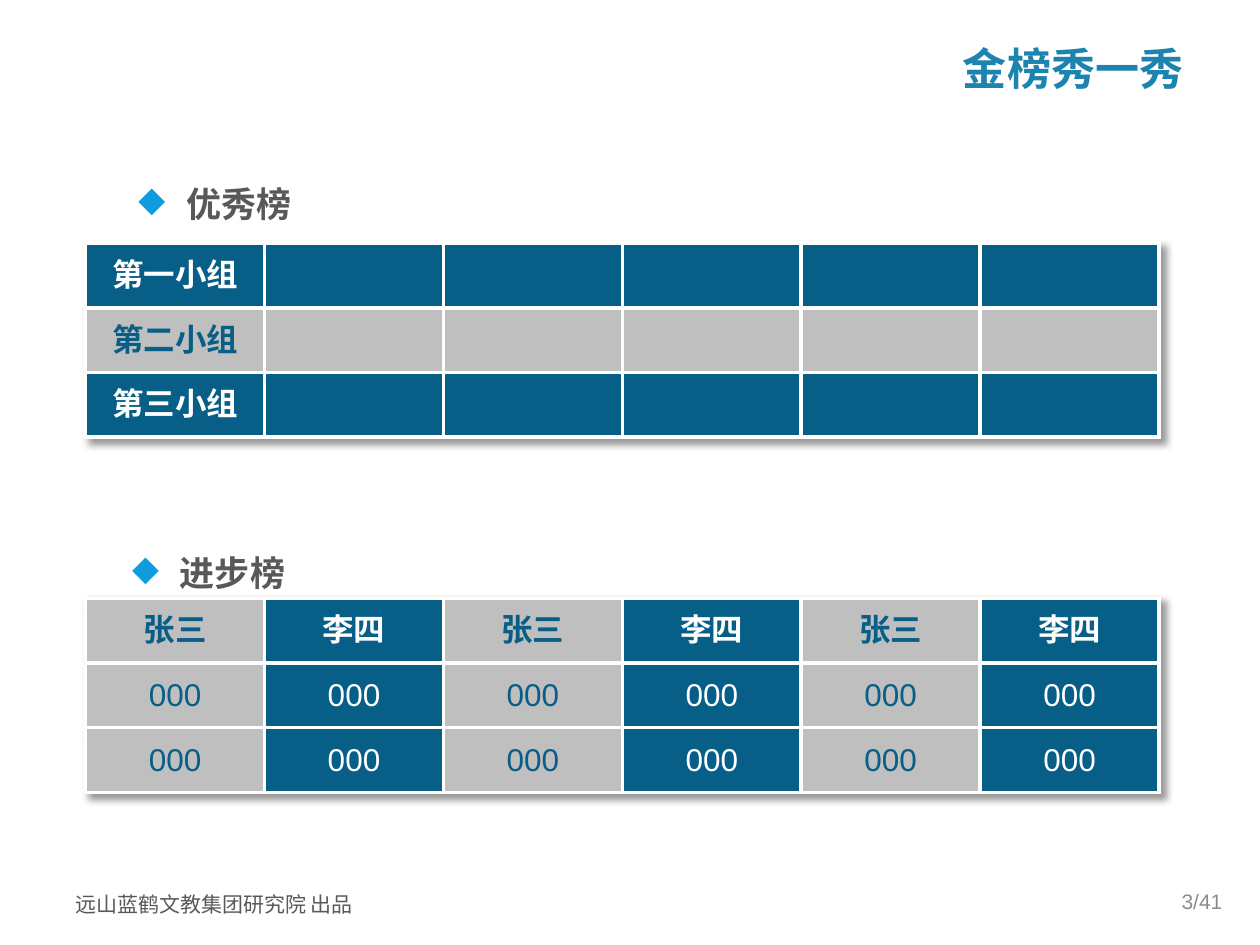
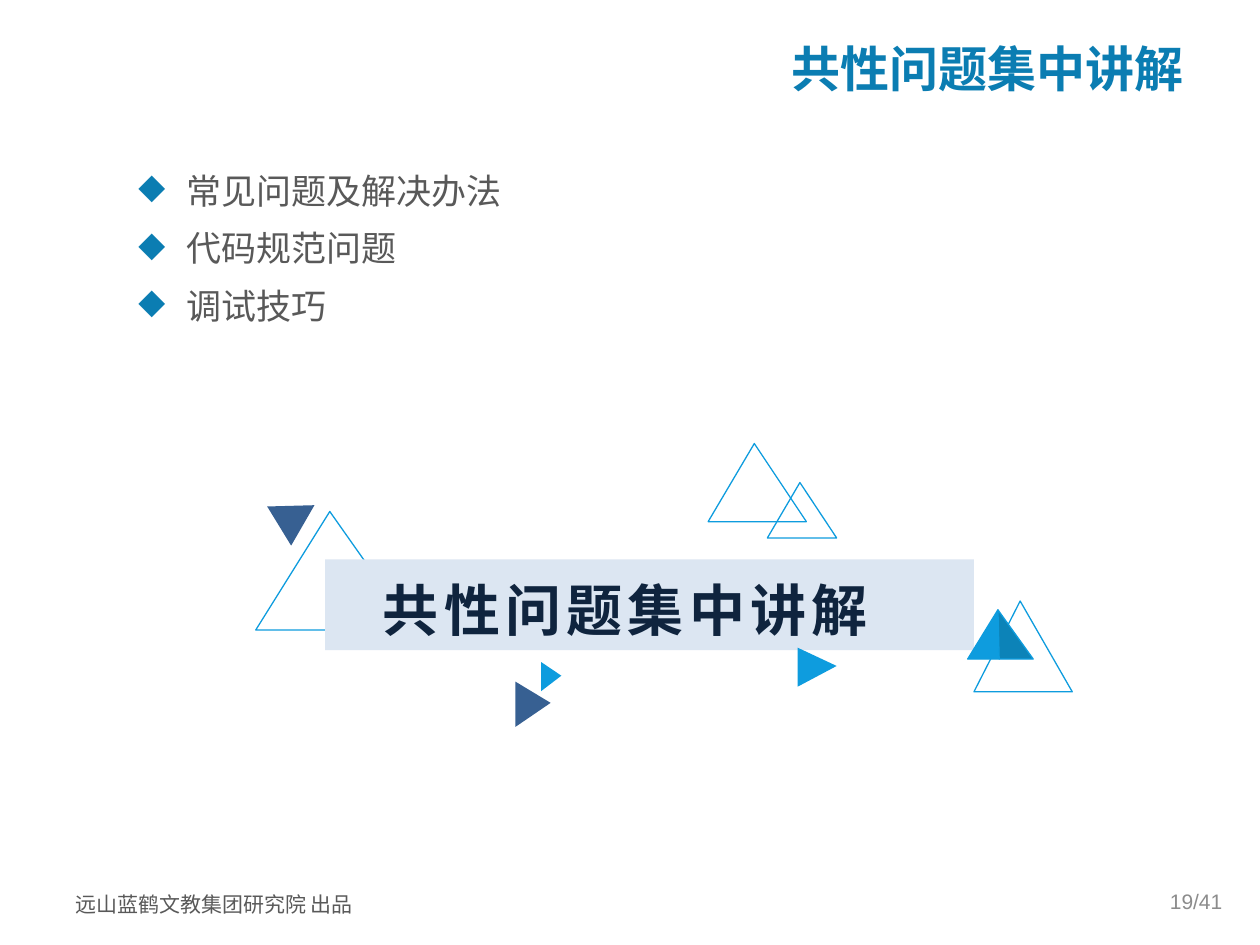
from lxml import etree
from pptx import Presentation
from pptx.dml.color import RGBColor
from pptx.enum import shapes, text
from pptx.oxml import ns
from pptx.util import Inches, Pt

# Shared look
BLUE, AZURE, STEEL = RGBColor(0x0B, 0x7D, 0xB2), RGBColor(0x0E, 0x9C, 0xDE), RGBColor(0x37, 0x60, 0x92)
TITLE_BLUE, PEAK_SHADE = RGBColor(0x1D, 0x83, 0xAF), RGBColor(0x0C, 0x83, 0xB8)
DEEP, SILVER, WHITE = RGBColor(0x07, 0x5E, 0x86), RGBColor(0xBF, 0xBF, 0xBF), RGBColor(255, 255, 255)
GREY, PALE_GREY = RGBColor(0x59, 0x59, 0x59), RGBColor(0x8C, 0x8C, 0x8C)
BANNER, NAVY = RGBColor(0xDC, 0xE6, 0xF2), RGBColor(0x0F, 0x24, 0x3E)
SANS, ARIAL = "Noto Sans CJK SC", "Arial"
LEFT, CENTER, RIGHT = text.PP_ALIGN.LEFT, text.PP_ALIGN.CENTER, text.PP_ALIGN.RIGHT
TOP, MIDDLE = text.MSO_ANCHOR.TOP, text.MSO_ANCHOR.MIDDLE

# Content
FOOTER = "远山蓝鹤文教集团研究院 出品"
PAGE_TOTAL = 41
BODY_AT = (1, 1.23, 8.49, 4.72)

HONOUR_TITLE = "金榜秀一秀"
EXCELLENT_HEADING, PROGRESS_HEADING = "优秀榜", "进步榜"
EXCELLENT_ROWS = [[group] + [""] * 5 for group in ("第一小组", "第二小组", "第三小组")]
PROGRESS_ROWS = [["张三", "李四"] * 3, ["000"] * 6, ["000"] * 6]

PROBLEMS_TITLE = "共性问题集中讲解"
PROBLEMS = ["常见问题及解决办法", "代码规范问题", "调试技巧"]

# Triangles: left, top, width, height, rotation, fill (None = outline only)
TRIANGLES_BEHIND = [
    (2.03, 4.06, 1.25, 0.94, 0, None),
    (7.73, 4.77, 0.78, 0.72, 0, None),
    (4.26, 5.29, 0.23, 0.16, 90, AZURE),
    (2.08, 3.93, 0.37, 0.32, 300, STEEL),
]
TRIANGLES_FRONT = [
    (6.09, 3.83, 0.55, 0.44, 0, None),
    (5.62, 3.52, 0.78, 0.62, 0, None),
    (4.05, 5.45, 0.36, 0.28, 90, STEEL),
    (6.33, 5.14, 0.31, 0.31, 90, AZURE),
]
PEAK_TOP, PEAK_FOOT = (7.92, 4.84), (7.93, 5.23)
PEAK_SIDES = [((7.68, 5.23), AZURE), ((8.2, 5.23), PEAK_SHADE)]


def add_xml(parent, tag, **attributes):
    return etree.SubElement(parent, ns.qn(tag), attributes)


def style(para, size, color, font=SANS, bold=False, align=LEFT, spacing=None):
    para.alignment = align
    if spacing:
        para.line_spacing = spacing
    para.font.size, para.font.bold, para.font.name = Pt(size), bold, font
    para.font.color.rgb = color
    defaults = para._p.pPr.find(ns.qn("a:defRPr"))
    add_xml(defaults, "a:ea", typeface=font)
    return defaults


def add_text(page, at, words, size, color, anchor=TOP, **look):
    box = page.shapes.add_textbox(*map(Inches, at))
    frame = box.text_frame
    frame.word_wrap, frame.vertical_anchor = True, anchor
    frame.text = words
    style(frame.paragraphs[0], size, color, **look)


def add_bullets(page, at, items, color, **look):
    frame = page.shapes.add_textbox(*map(Inches, at)).text_frame
    frame.word_wrap = True
    frame.text = "\n".join(items)
    for para in frame.paragraphs:
        para.space_before = Pt(4)
        props = para._p.get_or_add_pPr()
        props.set("marL", str(Inches(0.38)))
        props.set("indent", str(-Inches(0.38)))
        add_xml(add_xml(props, "a:buClr"), "a:srgbClr", val=str(color))
        add_xml(props, "a:buChar", char="◆")
        style(para, 20, GREY, **look)


def add_page(deck, title, title_size, title_color, title_font, number):
    page = deck.slides.add_slide(deck.slide_layouts[6])
    add_text(page, (0.5, 6.99, 2.53, 0.34), FOOTER, 12, GREY, spacing=1.2)
    add_text(page, (1, 0.31, 8.49, 0.45), title, title_size, title_color,
             anchor=MIDDLE, font=title_font, bold=True, align=RIGHT)
    add_text(page, (7.47, 6.95, 2.33, 0.4), f"{number}/{PAGE_TOTAL}", 12, PALE_GREY,
             anchor=MIDDLE, font=ARIAL, align=RIGHT)
    return page


def add_borders(cell):
    props = cell._tc.get_or_add_tcPr()
    for place, side in enumerate(("a:lnL", "a:lnR", "a:lnT", "a:lnB")):
        line = add_xml(props, side, w=str(Pt(2.25)))
        add_xml(add_xml(line, "a:solidFill"), "a:srgbClr", val=str(WHITE))
        props.insert(place, line)


def add_board(page, top, rows, is_dark, is_bold):
    table = page.shapes.add_table(len(rows), len(rows[0]), Inches(0.68), Inches(top),
                                  Inches(8.52), Inches(1.54)).table
    table.first_row = table.horz_banding = False
    # Soft shadow to the lower right
    props = table._tbl.tblPr
    effects = add_xml(props, "a:effectLst")
    props.insert(0, effects)
    shadow = add_xml(effects, "a:outerShdw", blurRad=str(Pt(4)), dist=str(Pt(3)),
                     dir="2700000", algn="tl", rotWithShape="0")
    add_xml(add_xml(shadow, "a:prstClr", val="black"), "a:alpha", val="40000")
    for i, row in enumerate(rows):
        for j, words in enumerate(row):
            cell, dark = table.cell(i, j), is_dark(i, j)
            cell.text, cell.vertical_anchor = words, MIDDLE
            cell.fill.solid()
            cell.fill.fore_color.rgb = DEEP if dark else SILVER
            add_borders(cell)
            style(cell.text_frame.paragraphs[0], 18, WHITE if dark else DEEP,
                  font=ARIAL, bold=is_bold(i, j), align=CENTER)


def paint(shape, fill, line=None):
    shape.shadow.inherit = False
    if fill is None:
        shape.fill.background()
    else:
        shape.fill.solid()
        shape.fill.fore_color.rgb = fill
    if line is None:
        shape.line.fill.background()
    else:
        shape.line.color.rgb, shape.line.width = line, Pt(0.75)


def add_triangles(page, triangles):
    for *at, turn, fill in triangles:
        triangle = page.shapes.add_shape(shapes.MSO_SHAPE.ISOSCELES_TRIANGLE, *map(Inches, at))
        triangle.adjustments[0] = 0.47
        triangle.rotation = turn
        paint(triangle, fill, AZURE if fill is None else None)


def add_banner(page):
    banner = page.shapes.add_shape(shapes.MSO_SHAPE.RECTANGLE,
                                   *map(Inches, (2.58, 4.44, 5.15, 0.72)))
    paint(banner, BANNER)
    frame = banner.text_frame
    frame.word_wrap, frame.vertical_anchor = True, TOP
    frame.margin_top, frame.margin_right = Inches(0.13), Inches(0.48)
    frame.text = PROBLEMS_TITLE
    style(frame.paragraphs[0], 32, NAVY, bold=True, align=CENTER).set("spc", "300")


def add_peak(page):
    for corner, fill in PEAK_SIDES:
        builder = page.shapes.build_freeform(*map(Inches, corner), scale=1.0)
        builder.add_line_segments([tuple(map(Inches, point)) for point in (PEAK_TOP, PEAK_FOOT)])
        paint(builder.convert_to_shape(), fill, AZURE)


def main():
    deck = Presentation()
    deck.slide_width, deck.slide_height = Inches(10), Inches(7.5)

    # Honour boards
    page = add_page(deck, HONOUR_TITLE, 25.2, TITLE_BLUE, SANS, 3)
    add_bullets(page, BODY_AT, [EXCELLENT_HEADING], AZURE, bold=True, spacing=1.5)
    add_board(page, 1.93, EXCELLENT_ROWS, lambda i, j: i % 2 == 0, lambda i, j: True)
    add_board(page, 4.75, PROGRESS_ROWS, lambda i, j: j % 2 == 1, lambda i, j: i == 0)
    add_bullets(page, (0.95, 4.16, 1.84, 0.57), [PROGRESS_HEADING], AZURE, bold=True, spacing=1.5)

    # Common problems
    page = add_page(deck, PROBLEMS_TITLE, 28, BLUE, ARIAL, 19)
    add_bullets(page, BODY_AT, PROBLEMS, BLUE, font=ARIAL, spacing=1.2)
    add_triangles(page, TRIANGLES_BEHIND)
    add_banner(page)
    add_triangles(page, TRIANGLES_FRONT)
    add_peak(page)

    deck.save("out.pptx")


if __name__ == "__main__":
    main()
